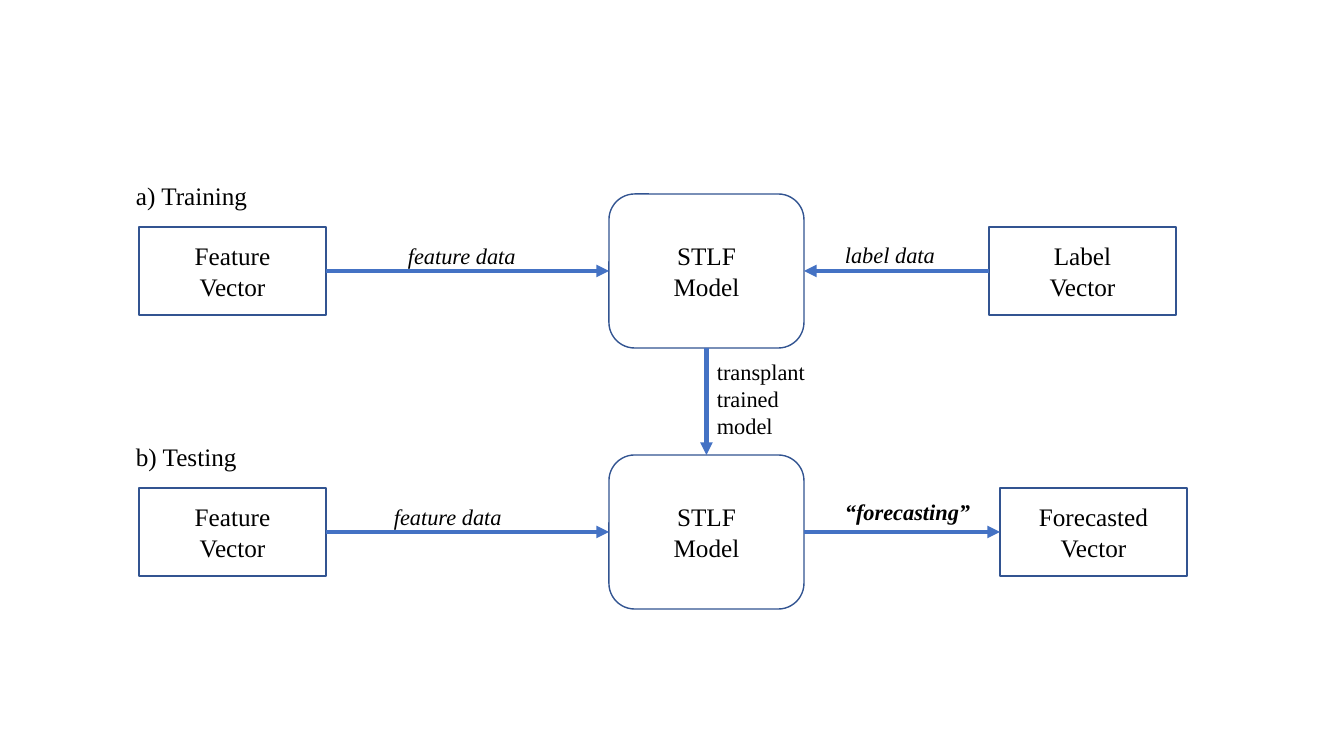
from lxml import etree
from pptx import Presentation
from pptx import util as u
from pptx.dml.color import RGBColor
from pptx.enum import shapes, text
from pptx.oxml import ns

# Content: "\v" breaks a line, "\n" starts a paragraph
ROWS = [
    {"title": "a) Training", "model": "STLF\nModel",
     "left": "Feature\vVector", "right": "Label\vVector", "right_x": 989},
    {"title": "b) Testing", "model": "STLF\nModel",
     "left": "Feature\vVector", "right": "Forecasted Vector", "right_x": 1000},
]
FLOWS = [  # from (row, part), site, to (row, part), site
    ((0, "left"), "right", (0, "model"), "left"),
    ((0, "right"), "left", (0, "model"), "right"),
    ((1, "left"), "right", (1, "model"), "left"),
    ((1, "model"), "right", (1, "right"), "left"),
    ((0, "model"), "bottom", (1, "model"), "top"),
]
LABELS = [  # text, x, y, width, height, format
    ("feature data", 398, 237, 167, 37, {"italic": True}),
    ("label data", 835, 236, 122, 37, {"italic": True}),
    ("transplant\ntrained\nmodel", 707, 353, 212, 92, {}),
    ("feature data", 384, 498, 167, 37, {"italic": True}),
    ("“forecasting”", 835, 493, 167, 37, {"italic": True, "bold": True}),
]

THEME = {"font": "Times New Roman", "ink": "000000", "outline": "325491",
         "arrow": "4472C4", "box_pt": 18, "label_pt": 16,
         "outline_pt": 1, "arrow_pt": 3}

# Layout in px
SLIDE_W, SLIDE_H = 1344, 756
ROW_PITCH = 261
LEFT_X, BOX_Y, BOX_W, BOX_H = 139, 227, 187, 88
MODEL_X, MODEL_W, MODEL_H = 609, 195, 154
MODEL_Y = BOX_Y + (BOX_H - MODEL_H) // 2
TITLE_X, TITLE_Y, TITLE_W, TITLE_H = 126, 175, 187, 40
SITES = {"top": 0, "left": 1, "bottom": 2, "right": 3}


def px(*lengths):
    return [u.Inches(n / 100.8) for n in lengths]


def color(key):
    return RGBColor.from_string(THEME[key])


def write(sp, words, size, align=None, **font):
    tf = sp.text_frame
    tf.word_wrap = True
    tf.text = words
    fmt = {"name": THEME["font"], "size": u.Pt(THEME[size]), **font}
    for p in tf.paragraphs:
        p.alignment = align
        for r in p.runs:
            for key, value in fmt.items():
                setattr(r.font, key, value)
            r.font.color.rgb = color("ink")


def add_box(s, kind, words, *place):
    sp = s.shapes.add_shape(kind, *px(*place))
    sp.shadow.inherit = False
    sp.fill.background()
    sp.line.color.rgb = color("outline")
    sp.line.width = u.Pt(THEME["outline_pt"])
    sp.text_frame.vertical_anchor = text.MSO_ANCHOR.MIDDLE
    write(sp, words, "box_pt", text.PP_ALIGN.CENTER)
    return sp


def add_label(s, words, size, *place, **font):
    sp = s.shapes.add_textbox(*px(*place))
    write(sp, words, size, **font)
    sp.text_frame.auto_size = text.MSO_AUTO_SIZE.SHAPE_TO_FIT_TEXT


def add_arrow(s, start, start_site, end, end_site):
    line = s.shapes.add_connector(shapes.MSO_CONNECTOR.STRAIGHT, 0, 0, 0, 0)
    line.begin_connect(start, SITES[start_site])
    line.end_connect(end, SITES[end_site])
    line.line.color.rgb = color("arrow")
    line.line.width = u.Pt(THEME["arrow_pt"])
    etree.SubElement(line.line._get_or_add_ln(), ns.qn("a:tailEnd"), type="triangle")
    etree.SubElement(line._element.spPr, ns.qn("a:effectLst"))


def main():
    prs = Presentation()
    prs.slide_width, prs.slide_height = px(SLIDE_W, SLIDE_H)
    s = prs.slides.add_slide(prs.slide_layouts[6])
    rect = shapes.MSO_SHAPE.RECTANGLE
    rounded = shapes.MSO_SHAPE.ROUNDED_RECTANGLE

    # Boxes and row titles
    parts = {}
    for i, row in enumerate(ROWS):
        dy = i * ROW_PITCH
        for side, x in (("left", LEFT_X), ("right", row["right_x"])):
            parts[i, side] = add_box(s, rect, row[side], x, BOX_Y + dy, BOX_W, BOX_H)
        parts[i, "model"] = add_box(s, rounded, row["model"],
                                    MODEL_X, MODEL_Y + dy, MODEL_W, MODEL_H)
        add_label(s, row["title"], "box_pt", TITLE_X, TITLE_Y + dy, TITLE_W, TITLE_H)

    # Arrows
    for start, start_site, end, end_site in FLOWS:
        add_arrow(s, parts[start], start_site, parts[end], end_site)

    # Arrow labels
    for words, x, y, w, h, fmt in LABELS:
        add_label(s, words, "label_pt", x, y, w, h, **fmt)

    prs.save("out.pptx")


if __name__ == "__main__":
    main()
